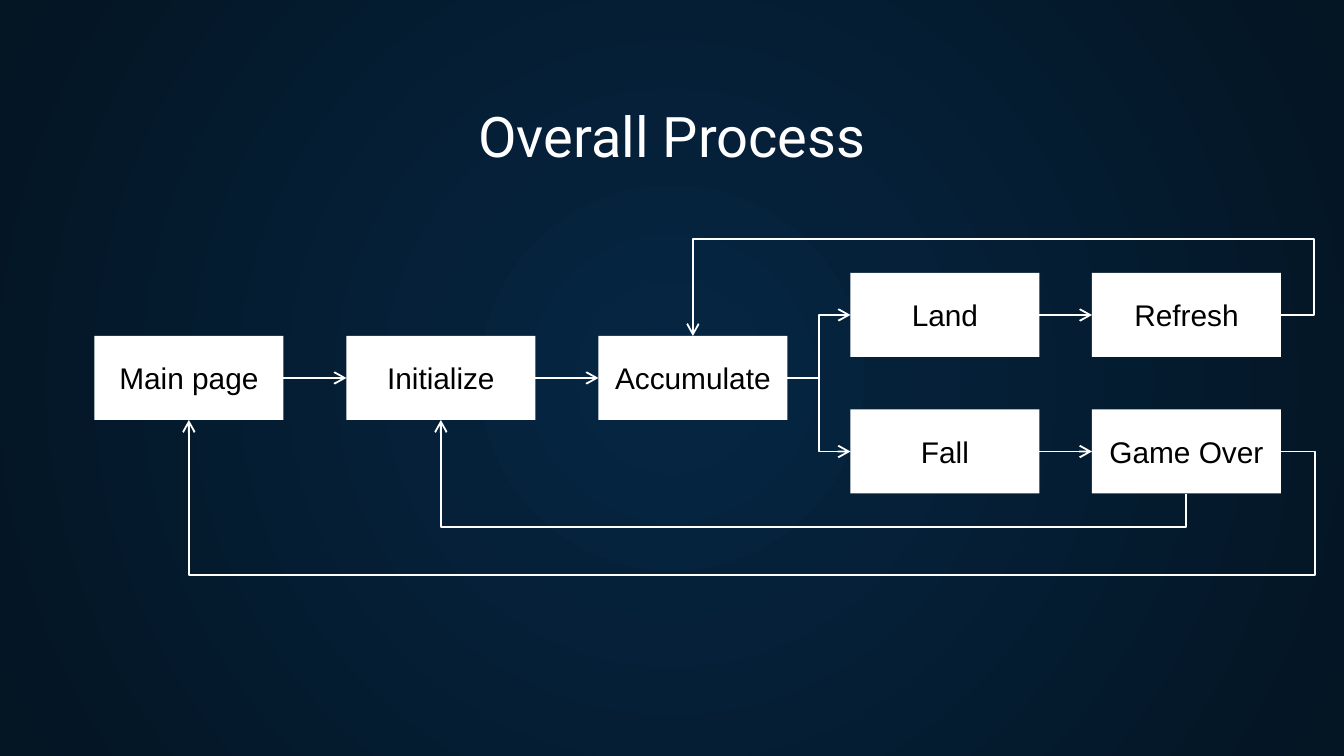
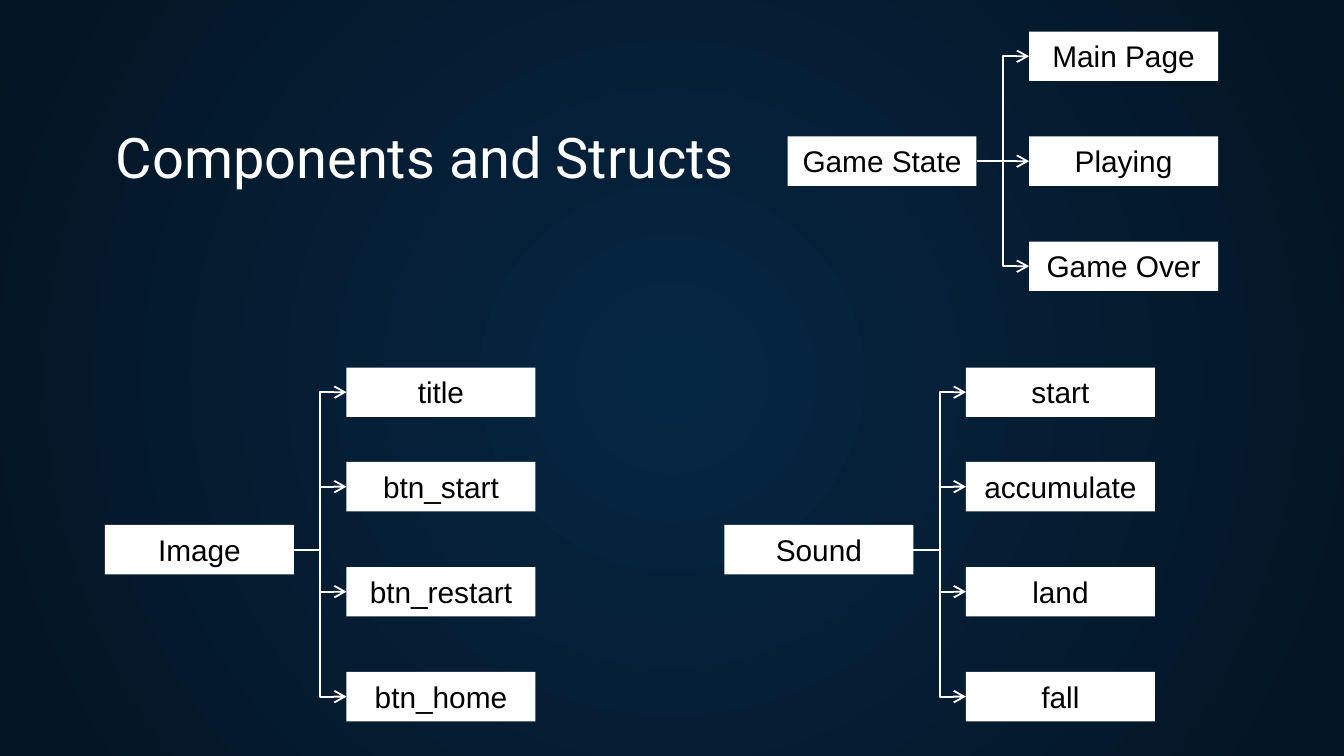
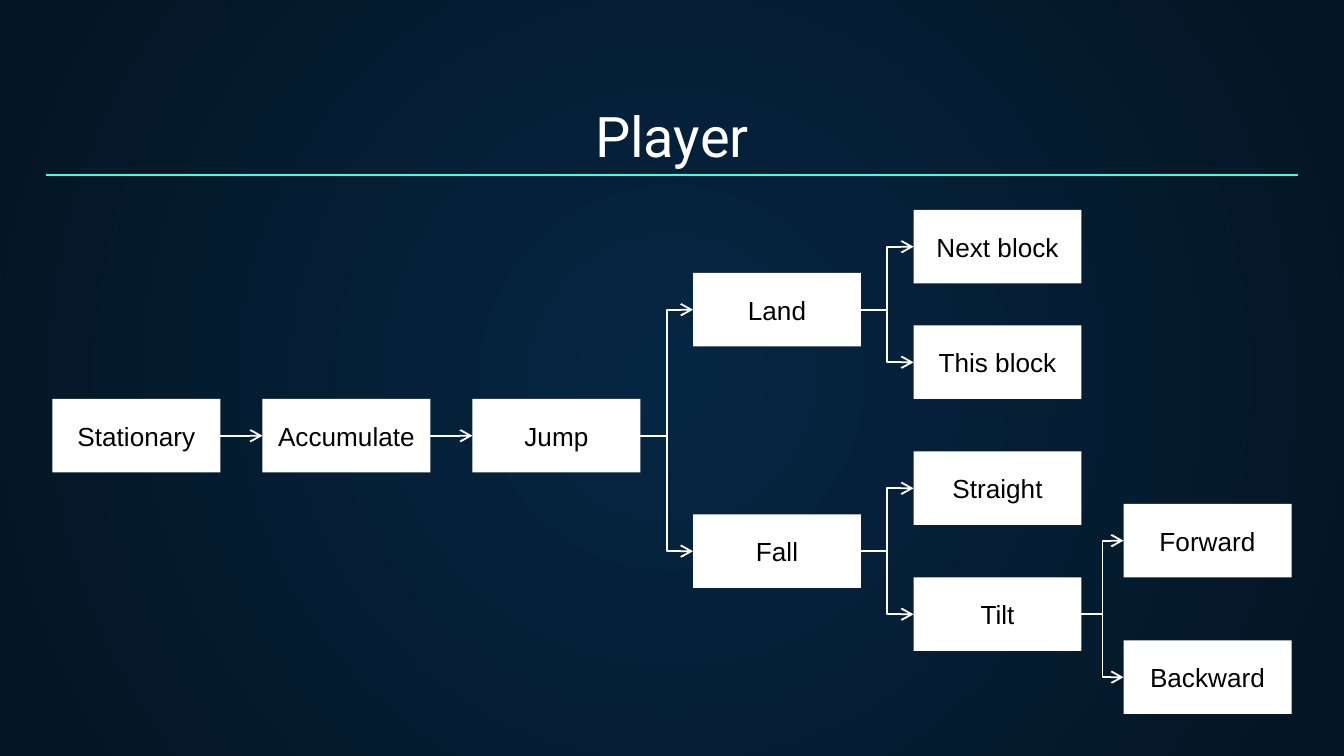
from dataclasses import dataclass
from itertools import pairwise

from lxml.etree import SubElement
from pptx import Presentation
from pptx.dml.color import RGBColor
from pptx.enum.shapes import MSO_CONNECTOR, MSO_SHAPE
from pptx.enum.text import MSO_ANCHOR, MSO_AUTO_SIZE, PP_ALIGN
from pptx.oxml import parse_xml
from pptx.oxml.ns import nsdecls, qn
from pptx.presentation import Presentation as Deck
from pptx.shapes.autoshape import Shape
from pptx.shapes.connector import Connector
from pptx.slide import Slide
from pptx.text.text import TextFrame
from pptx.util import Pt

COLORS = {
    "center": "052643",
    "edge": "041523",
    "white": "FFFFFF",
    "black": "000000",
    "rule": "48FFD5",
}
TOP, LEFT, BOTTOM, RIGHT = range(4)


@dataclass(frozen=True)
class Style:
    """Size and text settings shared by the boxes of one slide."""

    width: float
    height: float
    size: float
    fit: bool = False


@dataclass(frozen=True)
class Box:
    text: str
    left: float
    top: float


@dataclass(frozen=True)
class Tree:
    root: str
    left: float
    top: float
    leaves: tuple[str, ...]
    tops: tuple[float, ...]


Nodes = dict[str, Shape]

FLOW = Style(101.25, 45, 16)
STRUCT = Style(101.25, 26.5, 16, fit=True)
PLAYER = Style(90, 39.4, 14)

STEPS = ("Main page", "Initialize", "Accumulate")
ENDINGS = (
    Box("Land", 455.6, 146.25),
    Box("Refresh", 585, 146.25),
    Box("Fall", 455.6, 219.4),
    Box("Game Over", 585, 219.4),
)

LEAF_STEP = 129.4
LOW_TOPS = (196.9, 247.5, 303.75, 360)
TREES = (
    Tree("Game State", 421.9, 73.1,
         ("Main Page", "Playing", "Game Over"), (16.9, 73.1, 129.4)),
    Tree("Sound", 388.1, 281.25,
         ("start", "accumulate", "land", "fall"), LOW_TOPS),
    Tree("Image", 56.25, 281.25,
         ("title", "btn_start", "btn_restart", "btn_home"), LOW_TOPS),
)

MOVES = ("Stationary", "Accumulate", "Jump")
RESULTS = (
    Box("Land", 371.25, 146.25),
    Box("Fall", 371.25, 275.6),
    Box("Next block", 489.4, 112.5),
    Box("This block", 489.4, 174.4),
    Box("Straight", 489.4, 241.9),
    Box("Tilt", 489.4, 309.4),
    Box("Forward", 601.9, 270),
    Box("Backward", 601.9, 343.1),
)
FORKS = {
    "Jump": ("Land", "Fall"),
    "Land": ("Next block", "This block"),
    "Fall": ("Straight", "Tilt"),
    "Tilt": ("Forward", "Backward"),
}


def color(name: str) -> RGBColor:
    return RGBColor.from_string(COLORS[name])


def write(frame: TextFrame, text: str, size: float, font: str, ink: str) -> None:
    line = frame.paragraphs[0]
    line.alignment = PP_ALIGN.CENTER
    run = line.add_run()
    run.text = text
    run.font.size = Pt(size)
    run.font.name = font
    run.font.color.rgb = color(ink)


def paint(slide: Slide) -> None:
    """Give the slide its radial background."""
    stops = "".join(
        f'<a:gs pos="{pos}"><a:srgbClr val="{COLORS[name]}"/></a:gs>'
        for pos, name in ((0, "center"), (100000, "edge"))
    )
    back = parse_xml(
        f'<p:bg {nsdecls("p", "a")}><p:bgPr><a:gradFill><a:gsLst>{stops}</a:gsLst>'
        '<a:path path="circle"><a:fillToRect l="50000" t="50000" r="50000" b="50000"/>'
        "</a:path></a:gradFill><a:effectLst/></p:bgPr></p:bg>"
    )
    slide.element.find(qn("p:cSld")).insert(0, back)


def add_slide(deck: Deck, title: str, left: float = 24.4, top: float = 50.4,
              width: float = 671.2) -> Slide:
    slide = deck.slides.add_slide(deck.slide_layouts[6])
    paint(slide)
    frame = slide.shapes.add_textbox(Pt(left), Pt(top), Pt(width), Pt(47.3)).text_frame
    frame.word_wrap = True
    frame.auto_size = MSO_AUTO_SIZE.NONE
    frame.vertical_anchor = MSO_ANCHOR.BOTTOM
    frame.margin_top = frame.margin_bottom = Pt(7.2)
    write(frame, title, 30, "Roboto", "white")
    return slide


def add_box(slide: Slide, box: Box, style: Style) -> Shape:
    shape = slide.shapes.add_shape(MSO_SHAPE.RECTANGLE, Pt(box.left), Pt(box.top),
                                   Pt(style.width), Pt(style.height))
    shape.shadow.inherit = False
    shape.fill.solid()
    shape.fill.fore_color.rgb = color("white")
    shape.line.fill.background()
    frame = shape.text_frame
    frame.word_wrap = True
    if style.fit:
        frame.auto_size = MSO_AUTO_SIZE.SHAPE_TO_FIT_TEXT
    frame.vertical_anchor = MSO_ANCHOR.TOP if style.fit else MSO_ANCHOR.MIDDLE
    write(frame, box.text, style.size, "Arial", "black")
    return shape


def add_boxes(slide: Slide, boxes: list[Box], style: Style) -> Nodes:
    return {box.text: add_box(slide, box, style) for box in boxes}


def spread(names: tuple[str, ...], left: float, top: float, step: float) -> list[Box]:
    """Place names in a row with an equal step."""
    return [Box(name, left + i * step, top) for i, name in enumerate(names)]


def stroke(line: Connector, ink: str, width: float) -> None:
    line.line.color.rgb = color(ink)
    line.line.width = Pt(width)
    SubElement(line.element.spPr, qn("a:effectLst"))


def link(slide: Slide, start: Shape, end: Shape, kind: MSO_CONNECTOR,
         out: int = RIGHT, into: int = LEFT) -> Connector:
    line = slide.shapes.add_connector(kind, Pt(0), Pt(0), Pt(0), Pt(0))
    line.begin_connect(start, out)
    line.end_connect(end, into)
    stroke(line, "white", 1)
    SubElement(line.element.spPr.find(qn("a:ln")), qn("a:tailEnd"), type="arrow")
    return line


def chain(slide: Slide, nodes: Nodes, names: tuple[str, ...]) -> None:
    for start, end in pairwise(names):
        link(slide, nodes[start], nodes[end], MSO_CONNECTOR.STRAIGHT)


def fork(slide: Slide, nodes: Nodes, root: str, leaves: tuple[str, ...]) -> None:
    for leaf in leaves:
        link(slide, nodes[root], nodes[leaf], MSO_CONNECTOR.ELBOW)


def bend(line: Connector, *parts: float) -> None:
    """Set the turning points as shares of the connector's extent."""
    shape = line.element.spPr.find(qn("a:prstGeom"))
    shape.set("prst", f"bentConnector{len(parts) + 2}")
    guides = shape.find(qn("a:avLst"))
    for i, part in enumerate(parts, 1):
        SubElement(guides, qn("a:gd"), name=f"adj{i}", fmla=f"val {round(part * 100000)}")


def loop(slide: Slide, start: Shape, end: Shape, into: int, side: float,
         rail: float) -> None:
    """Lead from the right side round by x = side and y = rail."""
    line = link(slide, start, end, MSO_CONNECTOR.ELBOW, RIGHT, into)
    bend(line,
         (Pt(side) - line.begin_x) / (line.end_x - line.begin_x),
         (Pt(rail) - line.begin_y) / (line.end_y - line.begin_y))


def duck(slide: Slide, start: Shape, end: Shape, rail: float) -> None:
    """Lead from one bottom side to another, further left, by y = rail."""
    line = link(slide, start, end, MSO_CONNECTOR.ELBOW, BOTTOM, BOTTOM)
    bend(line, (Pt(rail) - line.begin_y) / (line.end_y - line.begin_y))
    mid_x = (line.begin_x + line.end_x) // 2
    mid_y = (line.begin_y + line.end_y) // 2
    width, height = line.height, line.width
    line.left, line.top = mid_x - width // 2, mid_y - height // 2
    line.width, line.height = width, height
    line.rotation = 90
    frame = line.element.spPr.find(qn("a:xfrm"))
    frame.set("flipH", "1")
    frame.set("flipV", "0")


def add_process(deck: Deck) -> None:
    slide = add_slide(deck, "Overall Process")
    nodes = add_boxes(slide, [*spread(STEPS, 50.6, 180, 135), *ENDINGS], FLOW)
    chain(slide, nodes, STEPS)
    fork(slide, nodes, "Accumulate", ("Land", "Fall"))
    chain(slide, nodes, ("Land", "Refresh"))
    chain(slide, nodes, ("Fall", "Game Over"))
    loop(slide, nodes["Refresh"], nodes["Accumulate"], TOP, 704.3, 128)
    duck(slide, nodes["Game Over"], nodes["Initialize"], 282.3)
    loop(slide, nodes["Game Over"], nodes["Main page"], BOTTOM, 704.3, 308.3)


def add_structs(deck: Deck) -> None:
    slide = add_slide(deck, "Components and Structs", 22.5, 61.3, 410.4)
    for tree in TREES:
        leaves = [Box(name, tree.left + LEAF_STEP, top)
                  for name, top in zip(tree.leaves, tree.tops)]
        nodes = add_boxes(slide, [Box(tree.root, tree.left, tree.top), *leaves], STRUCT)
        fork(slide, nodes, tree.root, tree.leaves)


def add_player(deck: Deck) -> None:
    slide = add_slide(deck, "Player")
    rule = slide.shapes.add_connector(MSO_CONNECTOR.STRAIGHT, Pt(24.4), Pt(93.7),
                                      Pt(695.6), Pt(93.7))
    stroke(rule, "rule", 0.75)
    nodes = add_boxes(slide, [*spread(MOVES, 28.1, 213.75, 112.5), *RESULTS], PLAYER)
    chain(slide, nodes, MOVES)
    for root, leaves in FORKS.items():
        fork(slide, nodes, root, leaves)


def main() -> None:
    deck = Presentation()
    deck.slide_width, deck.slide_height = Pt(720), Pt(405)
    add_process(deck)
    add_structs(deck)
    add_player(deck)
    deck.save("out.pptx")


if __name__ == "__main__":
    main()
